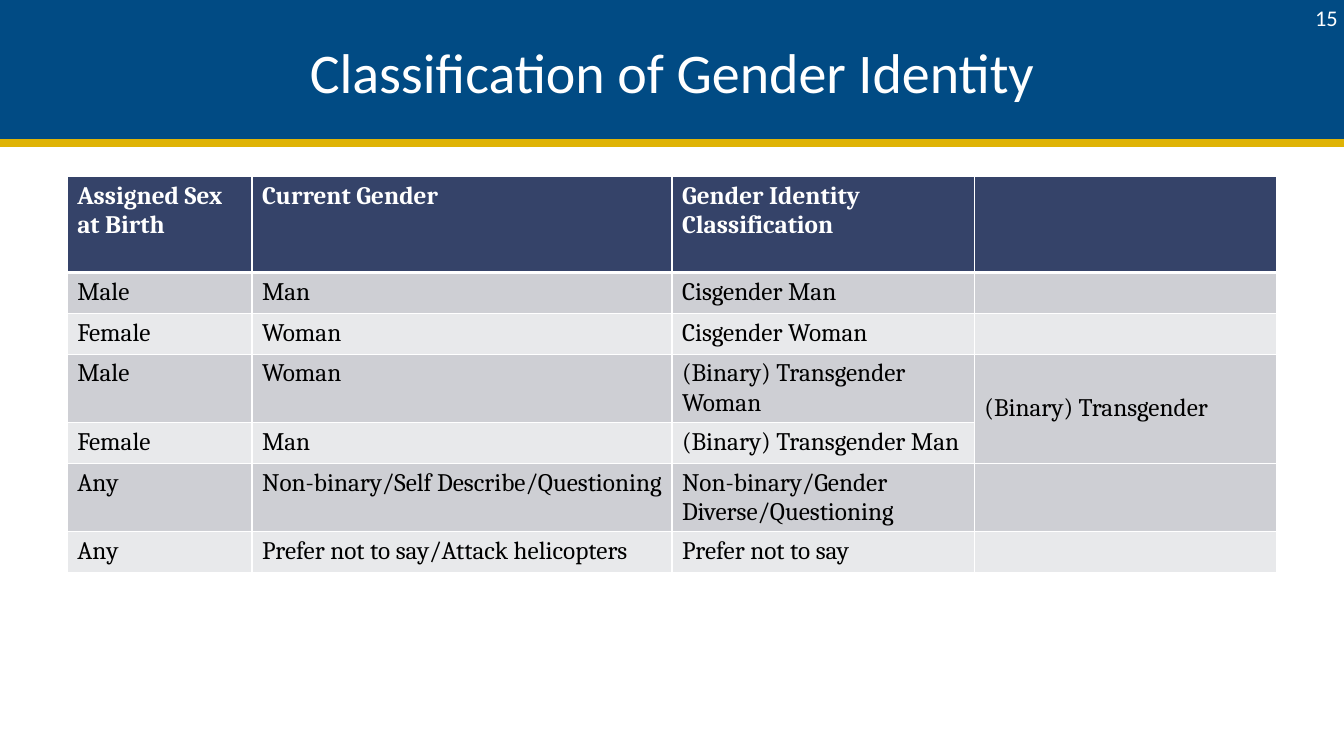
"""Build the gender identity classification slide."""
from lxml import etree
from pptx import Presentation
from pptx.dml.color import RGBColor
from pptx.enum import shapes, text
from pptx.oxml import ns
from pptx.util import Pt

TITLE = "Classification of Gender Identity"
PAGE = "15"
ROWS = [
    ("Assigned Sex at Birth", "Current Gender", "Gender Identity Classification", ""),
    ("Male", "Man", "Cisgender Man", ""),
    ("Female", "Woman", "Cisgender Woman", ""),
    ("Male", "Woman", "(Binary) Transgender Woman", "(Binary) Transgender"),
    ("Female", "Man", "(Binary) Transgender Man", ""),
    ("Any", "Non-binary/Self Describe/Questioning", "Non-binary/Gender Diverse/Questioning", ""),
    ("Any", "Prefer not to say/Attack helicopters", "Prefer not to say", ""),
]
MERGED = (3, 3), (4, 3)
COL_WIDTHS = [132, 300, 216, 216]
HEADER, SINGLE, DOUBLE = 68.6, 29.2, 48.6
ROW_HEIGHTS = [HEADER, SINGLE, SINGLE, DOUBLE, SINGLE, DOUBLE, SINGLE]
TABLE_LEFT, TABLE_TOP = 48, 126
BAND_HEIGHT = 102.2

THEME = {
    "band": "014B84", "rule": "DFB305", "header": "354369",
    "stripes": ("E8E9EB", "CECFD4"), "light": "FFFFFF", "dark": "000000",
    "heading_font": "Calibri", "table_font": "Cambria",
    "title_size": 40, "table_size": 18, "page_size": 16,
}


def rgb(name):
    return RGBColor.from_string(THEME.get(name, name))


def style(p, font, size, color, bold=False):
    p.font.name = THEME[font]
    p.font.size = Pt(THEME[size])
    p.font.color.rgb = rgb(color)
    p.font.bold = bold


def border(cell, widths):
    tcPr = cell._tc.get_or_add_tcPr()
    for i, (side, width) in enumerate(widths.items()):
        ln = etree.Element(ns.qn(f"a:ln{side}"), w=str(Pt(width)))
        fill = etree.SubElement(ln, ns.qn("a:solidFill"))
        etree.SubElement(fill, ns.qn("a:srgbClr"), val=THEME["light"])
        tcPr.insert(i, ln)


def add_header(slide):
    band = slide.shapes.add_shape(
        shapes.MSO_SHAPE.RECTANGLE, Pt(-2.4), Pt(0), Pt(964.8), Pt(BAND_HEIGHT))
    band.shadow.inherit = False
    band.fill.solid()
    band.fill.fore_color.rgb = rgb("band")
    band.line.color.rgb = rgb("band")
    band.line.width = Pt(2)

    rule = slide.shapes.add_connector(
        shapes.MSO_CONNECTOR.STRAIGHT, Pt(-6), Pt(BAND_HEIGHT), Pt(965.5), Pt(BAND_HEIGHT))
    rule.line.color.rgb = rgb("rule")
    rule.line.width = Pt(6)
    etree.SubElement(rule._element.spPr, ns.qn("a:effectLst"))

    title = slide.shapes.title
    rule._element.addnext(title._element)
    title.left, title.top, title.width, title.height = Pt(48), Pt(6), Pt(864), Pt(90)
    tf = title.text_frame
    tf.text = TITLE
    tf.auto_size = text.MSO_AUTO_SIZE.NONE
    tf.vertical_anchor = text.MSO_ANCHOR.MIDDLE
    p = tf.paragraphs[0]
    p.alignment = text.PP_ALIGN.CENTER
    style(p, "heading_font", "title_size", "light")


def add_classification(slide):
    table = slide.shapes.add_table(
        len(ROWS), len(COL_WIDTHS), Pt(TABLE_LEFT), Pt(TABLE_TOP),
        Pt(sum(COL_WIDTHS)), Pt(sum(ROW_HEIGHTS))).table
    for column, width in zip(table.columns, COL_WIDTHS):
        column.width = Pt(width)
    for i, (row, height) in enumerate(zip(ROWS, ROW_HEIGHTS)):
        table.rows[i].height = Pt(height)
        for j, label in enumerate(row):
            cell = table.cell(i, j)
            cell.text = label
            cell.fill.solid()
            cell.fill.fore_color.rgb = rgb(THEME["stripes"][i % 2] if i else "header")
            border(cell, {"L": 1, "R": 1, "T": 3 if i == 1 else 1, "B": 1 if i else 3})
            style(cell.text_frame.paragraphs[0], "table_font", "table_size",
                  "dark" if i else "light", bold=i == 0)
    first, last = (table.cell(*at) for at in MERGED)
    first.merge(last)
    first.vertical_anchor = text.MSO_ANCHOR.MIDDLE


def add_page_number(slide):
    tf = slide.shapes.add_textbox(Pt(918), Pt(0), Pt(44.6), Pt(25.2)).text_frame
    tf.word_wrap = True
    tf.vertical_anchor = text.MSO_ANCHOR.MIDDLE
    tf.text = PAGE
    p = tf.paragraphs[0]
    p.alignment = text.PP_ALIGN.RIGHT
    style(p, "heading_font", "page_size", "light")


def main():
    prs = Presentation()
    prs.slide_width, prs.slide_height = Pt(960), Pt(540)
    slide = prs.slides.add_slide(prs.slide_layouts[5])
    add_header(slide)
    add_classification(slide)
    add_page_number(slide)
    prs.save("out.pptx")


if __name__ == "__main__":
    main()
